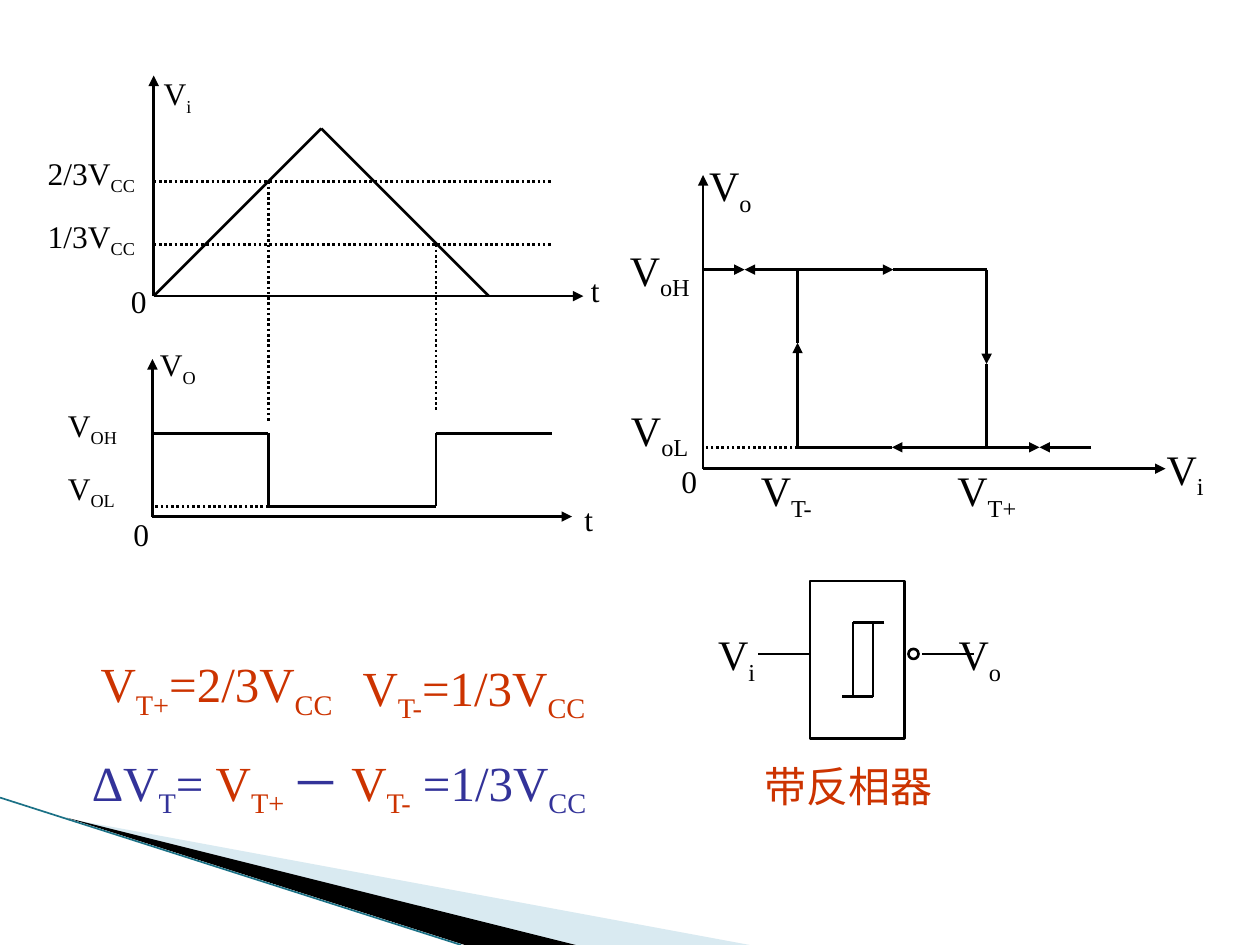
import pptx
import pptx.util
import pptx.dml.color
import pptx.enum.dml
import pptx.enum.shapes
import pptx.enum.text
import pptx.oxml
import pptx.oxml.ns

Inches = pptx.util.Inches
COLORS = {"black": "000000", "red": "CC3300", "blue": "333399",
          "pale": "A0CBDC", "teal": "1B7186"}
FONT = "Times New Roman"

WEDGES = [
    ("pale", 40, [(0.55, 6.5), (5.95, 7.5), (4.56, 7.5)]),
    ("black", 100, [(0.53, 6.49), (4.57, 7.5), (3.69, 7.5)]),
]

INPUT_LEFT, INPUT_BASE, PEAK = 1.22, 2.35, (2.55, 1.02)
UPPER, LOWER = 1.44, 1.94
OUTPUT_LEFT, OUTPUT_BASE, OUTPUT_HIGH, OUTPUT_LOW = 1.21, 4.1, 3.44, 4.02
FALL, RISE, WAVE_END = 2.13, 3.46, 4.38
LOOP_LEFT, LOOP_BASE, LOOP_HIGH, LOOP_LOW = 5.58, 3.72, 2.14, 3.55
T_MINUS, T_PLUS = 6.33, 7.83
GATE = (6.43, 4.61, 0.75, 1.25)
BUBBLE = (7.21, 5.15, 0.08, 0.08)
GATE_AXIS = 5.19

AXES = [
    [(INPUT_LEFT, INPUT_BASE), (INPUT_LEFT, 0.6)],
    [(INPUT_LEFT, INPUT_BASE), (4.63, INPUT_BASE)],
    [(OUTPUT_LEFT, OUTPUT_BASE), (OUTPUT_LEFT, 2.85)],
    [(OUTPUT_LEFT, OUTPUT_BASE), (4.54, OUTPUT_BASE)],
    [(LOOP_LEFT, LOOP_BASE), (LOOP_LEFT, 1.39)],
    [(LOOP_LEFT, LOOP_BASE), (9.25, LOOP_BASE)],
]
LOOP_ARROWS = [
    [(LOOP_LEFT, LOOP_HIGH), (5.91, LOOP_HIGH)],
    [(T_MINUS, LOOP_HIGH), (5.91, LOOP_HIGH)],
    [(T_MINUS, LOOP_HIGH), (7.09, LOOP_HIGH)],
    [(T_PLUS, LOOP_HIGH), (T_PLUS, 2.89)],
    [(T_PLUS, LOOP_LOW), (7.08, LOOP_LOW)],
    [(T_MINUS, LOOP_LOW), (T_MINUS, 2.72)],
    [(T_PLUS, LOOP_LOW), (8.25, LOOP_LOW)],
    [(8.66, LOOP_LOW), (8.25, LOOP_LOW)],
]
SOLID_LINES = [
    [(INPUT_LEFT, INPUT_BASE), PEAK, (3.88, INPUT_BASE)],
    [(OUTPUT_LEFT, OUTPUT_HIGH), (FALL, OUTPUT_HIGH), (FALL, OUTPUT_LOW),
     (RISE, OUTPUT_LOW), (RISE, OUTPUT_HIGH), (WAVE_END, OUTPUT_HIGH)],
    [(7.09, LOOP_HIGH), (T_PLUS, LOOP_HIGH)],
    [(T_PLUS, 2.89), (T_PLUS, LOOP_LOW)],
    [(7.08, LOOP_LOW), (T_MINUS, LOOP_LOW)],
    [(T_MINUS, 2.72), (T_MINUS, LOOP_HIGH)],
    [(7.02, 4.94), (6.77, 4.94), (6.77, 5.53)],
    [(6.93, 4.94), (6.93, 5.53), (6.68, 5.53)],
    [(6.77, 5.53), (6.93, 5.53)],
    [(6.02, GATE_AXIS), (GATE[0], GATE_AXIS)],
    [(7.32, GATE_AXIS), (7.73, GATE_AXIS)],
]
DOTTED_LINES = [
    [(INPUT_LEFT, UPPER), (WAVE_END, UPPER)],
    [(INPUT_LEFT, LOWER), (WAVE_END, LOWER)],
    [(FALL, UPPER), (FALL, 3.35)],
    [(RISE, LOWER), (RISE, 3.27)],
    [(FALL, OUTPUT_LOW), (OUTPUT_LEFT, OUTPUT_LOW)],
    [(T_MINUS, LOOP_LOW), (LOOP_LEFT, LOOP_LOW)],
]

SMALL_LABELS = [
    ("V_i", 1.2, 0.54, 0.45), ("t", 4.59, 2.1, 0.29),
    ("2/3V_CC", 0.28, 1.17, 1.02), ("1/3V_CC", 0.28, 1.67, 1.02),
    ("0", 0.94, 2.19, 0.33), ("V_O", 1.17, 2.69, 0.54),
    ("t", 4.54, 3.92, 0.29), ("0", 0.96, 4.04, 0.33),
    ("V_OH", 0.44, 3.17, 0.68), ("V_OL", 0.44, 3.67, 0.66),
    ("0", 5.31, 3.62, 0.33),
]
LARGE_LABELS = [
    ("V_o", 5.53, 1.22, 0.55), ("V_oH", 4.9, 1.89, 0.73),
    ("V_oL", 4.91, 3.16, 0.7), ("V_T-", 5.94, 3.64, 0.66),
    ("V_T+", 7.5, 3.64, 0.72), ("V_i", 9.16, 3.47, 0.51),
    ("V_i", 5.6, 4.94, 0.51), ("V_o", 7.51, 4.94, 0.55),
]
FORMULAS = [
    ([("V_T+_=2/3V_CC", "red")], 0.7, 5.14, 2.19),
    ([("V_T-_=1/3V_CC", "red")], 2.78, 5.17, 2.13),
    ([("ΔV_T_= ", "blue"), ("V_T+ ", "red"), ("－ ", "blue"),
      ("V_T-", "red"), (" =1/3V_CC", "blue")], 0.63, 5.92, 4.59),
]

presentation = pptx.Presentation()
presentation.slide_width, presentation.slide_height = Inches(10), Inches(7.5)
slide = presentation.slides.add_slide(presentation.slide_layouts[6])


def rgb(name):
    return pptx.dml.color.RGBColor.from_string(COLORS[name])


def add_child(parent, tag, **attributes):
    child = pptx.oxml.parse_xml(f"<a:{tag} {pptx.oxml.ns.nsdecls('a')}/>")
    for key, value in attributes.items():
        child.set(key, value)
    parent.append(child)


def add_wedge(color, opacity, points):
    corners = [(Inches(x), Inches(y)) for x, y in points]
    builder = slide.shapes.build_freeform(*corners[0], scale=1.0)
    builder.add_line_segments(corners[1:], close=True)
    shape = builder.convert_to_shape()
    shape.shadow.inherit = False
    shape.fill.solid()
    shape.fill.fore_color.rgb = rgb(color)
    shape.line.fill.background()
    if opacity < 100:
        fill_color = shape._element.spPr.find(".//" + pptx.oxml.ns.qn("a:srgbClr"))
        add_child(fill_color, "alpha", val=str(opacity * 1000))


def add_lines(points, color="black", width=1.5, dotted=False, arrow=False):
    for start, end in zip(points, points[1:]):
        connector = slide.shapes.add_connector(
            pptx.enum.shapes.MSO_CONNECTOR.STRAIGHT,
            *[Inches(value) for value in start + end])
        connector.line.color.rgb = rgb(color)
        connector.line.width = pptx.util.Pt(width)
        if dotted:
            connector.line.dash_style = pptx.enum.dml.MSO_LINE.ROUND_DOT
        if arrow:
            add_child(connector.line._get_or_add_ln(), "tailEnd", type="triangle")
        add_child(connector._element.spPr, "effectLst")


def add_outline(kind, box):
    shape = slide.shapes.add_shape(kind, *[Inches(value) for value in box])
    shape.shadow.inherit = False
    shape.fill.background()
    shape.line.color.rgb = rgb("black")
    shape.line.width = pptx.util.Pt(1.5)


def add_text(text, left, top, width, height=0.43, size=18, color="black"):
    box = slide.shapes.add_textbox(*[Inches(value) for value in (left, top, width, height)])
    frame = box.text_frame
    frame.word_wrap = False
    frame.auto_size = pptx.enum.text.MSO_AUTO_SIZE.SHAPE_TO_FIT_TEXT
    paragraph = frame.paragraphs[0]
    segments = [(text, color)] if isinstance(text, str) else text
    for segment, segment_color in segments:
        for index, part in enumerate(segment.split("_")):
            run = paragraph.add_run()
            run.text = part
            run.font.name = FONT
            run.font.size = pptx.util.Pt(size)
            run.font.color.rgb = rgb(segment_color)
            if index % 2:
                run._r.get_or_add_rPr().set("baseline", "-25000")


for wedge in WEDGES:
    add_wedge(*wedge)
add_lines([(0, 6.33), (3.66, 7.5)], color="teal", width=0.95)
for points in AXES + LOOP_ARROWS:
    add_lines(points, arrow=True)
for points in SOLID_LINES:
    add_lines(points)
for points in DOTTED_LINES:
    add_lines(points, dotted=True)
add_outline(pptx.enum.shapes.MSO_SHAPE.RECTANGLE, GATE)
add_outline(pptx.enum.shapes.MSO_SHAPE.OVAL, BUBBLE)
for label in SMALL_LABELS:
    add_text(*label)
for label in LARGE_LABELS:
    add_text(*label, height=0.5, size=24)
for formula in FORMULAS:
    add_text(*formula, height=0.57, size=28)
add_text("带反相器", 5.97, 5.99, 1.53, height=0.5, size=24, color="red")

presentation.save("out.pptx")
